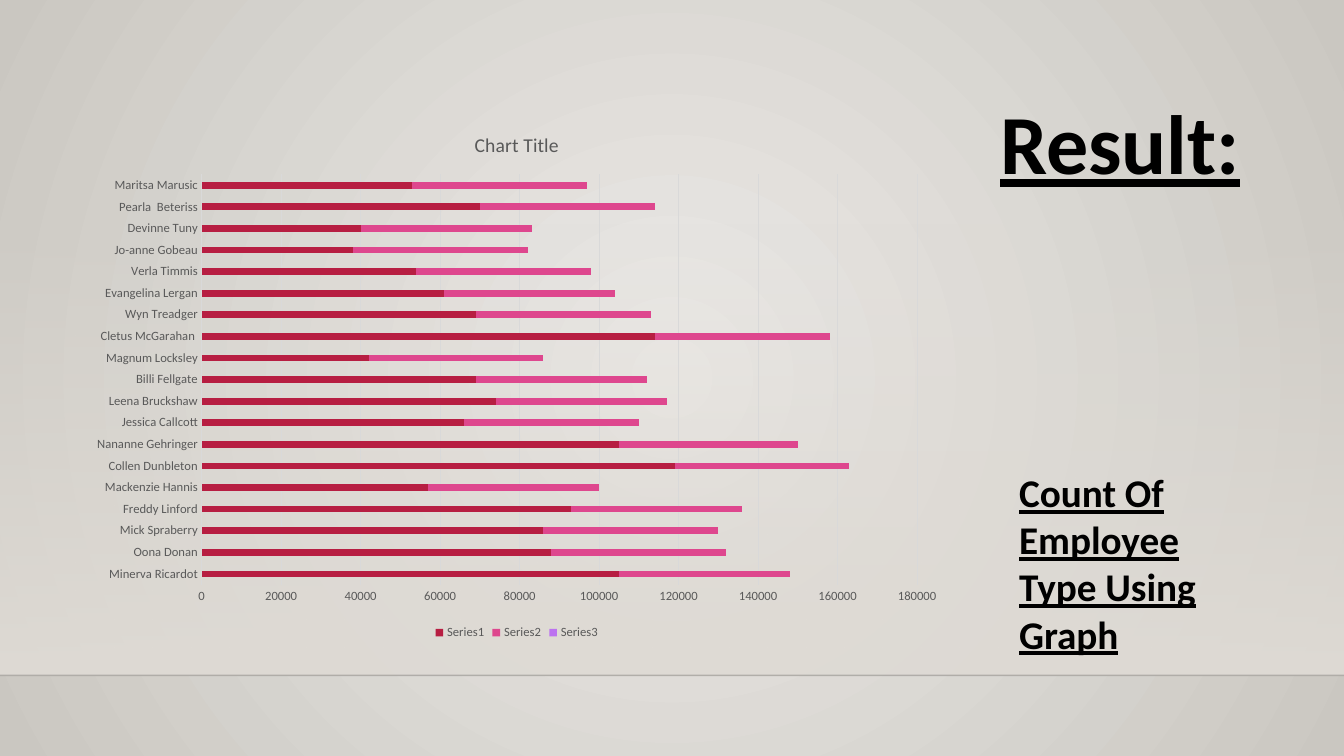
from lxml import etree
from pptx import Presentation
from pptx.chart.data import CategoryChartData
from pptx.dml.color import RGBColor
from pptx.enum import chart as ch, shapes
from pptx.oxml.ns import qn
from pptx.util import Inches, Pt

# Content: employee, then one value per series
SERIES = ["Series1", "Series2", "Series3"]
EMPLOYEES = [
    ("Minerva Ricardot", 105000, 43000, 0),
    ("Oona Donan", 88000, 44000, 0),
    ("Mick Spraberry", 86000, 44000, 0),
    ("Freddy Linford", 93000, 43000, 0),
    ("Mackenzie Hannis", 57000, 43000, 0),
    ("Collen Dunbleton", 119000, 44000, 0),
    ("Nananne Gehringer", 105000, 45000, 0),
    ("Jessica Callcott", 66000, 44000, 0),
    (" Leena Bruckshaw", 74000, 43000, 0),
    ("Billi Fellgate", 69000, 43000, 0),
    ("Magnum Locksley", 42000, 44000, 0),
    ("Cletus McGarahan ", 114000, 44000, 0),
    (" Wyn Treadger", 69000, 44000, 0),
    ("Evangelina Lergan", 61000, 43000, 0),
    ("Verla Timmis", 54000, 44000, 0),
    ("Jo-anne Gobeau", 38000, 44000, 0),
    ("Devinne Tuny", 40000, 43000, 0),
    ("Pearla  Beteriss", 70000, 44000, 0),
    ("Maritsa Marusic", 53000, 44000, 0),
]
# text, size, left, top, width, height
TEXTS = [
    ("Count Of Employee Type Using Graph", 28, 10.01, 4.6, 2.3, 1.99),
    ("Result:", 60, 9.82, 0.85, 2.87, 1.13),
]

FONT = "Calibri"
BLACK = RGBColor(0x00, 0x00, 0x00)
GREY = RGBColor(0x59, 0x59, 0x59)
GRID = RGBColor(0xD9, 0xD9, 0xD9)
BG_INNER = RGBColor(0xEC, 0xEA, 0xE7)
BG_OUTER = RGBColor(0xCA, 0xC7, 0xC1)
WALL = RGBColor(0xDF, 0xDB, 0xD5)
BAR_COLORS = [RGBColor(0xB7, 0x1E, 0x42), RGBColor(0xDE, 0x47, 0x8E),
              RGBColor(0xBC, 0x72, 0xF0)]


def set_gradient(fill, start, end):
    fill.gradient()
    for stop, color in zip(fill.gradient_stops, (start, end)):
        stop.color.rgb = color


def set_alpha(color_xml, percent):
    etree.SubElement(color_xml, qn("a:alpha")).set("val", str(percent * 1000))


def style_font(font, size, color):
    font.name, font.size, font.color.rgb = FONT, Pt(size), color


prs = Presentation()
prs.slide_width, prs.slide_height = Inches(13.33), Inches(7.5)
s = prs.slides.add_slide(prs.slide_layouts[6])

# Radial background
set_gradient(s.background.fill, BG_INNER, BG_OUTER)
grad = s.element.find(".//" + qn("a:gradFill"))
grad.remove(grad.find(qn("a:lin")))
radial = etree.SubElement(grad, qn("a:path"))
radial.set("path", "circle")
center = etree.SubElement(radial, qn("a:fillToRect"))
for side in "ltrb":
    center.set(side, "50000")

# Wall fading in downwards, and the floor line
wall = s.shapes.add_shape(shapes.MSO_SHAPE.RECTANGLE, 0, Inches(2.21),
                          prs.slide_width, Inches(4.49))
wall.shadow.inherit = False
wall.line.fill.background()
set_gradient(wall.fill, WALL, WALL)
wall.fill.gradient_angle = 270
set_alpha(wall.element.spPr.find(".//" + qn("a:srgbClr")), 0)

floor = s.shapes.add_connector(shapes.MSO_CONNECTOR.STRAIGHT, 0, Inches(6.7),
                               prs.slide_width, Inches(6.7))
floor.line.width = Pt(1)
floor.line.color.rgb = BLACK
floor_pr = floor.element.spPr
set_alpha(floor_pr.find(".//" + qn("a:srgbClr")), 20)
etree.SubElement(floor_pr, qn("a:effectLst"))

# Headings
for text, size, *box in TEXTS:
    tf = s.shapes.add_textbox(*map(Inches, box)).text_frame
    tf.word_wrap = True
    r = tf.paragraphs[0].add_run()
    r.text = text
    style_font(r.font, size, BLACK)
    r.font.bold = r.font.underline = True

# Stacked bar chart
names, *columns = zip(*EMPLOYEES)
data = CategoryChartData()
data.categories = names
for name, values in zip(SERIES, columns):
    data.add_series(name, values)
chart = s.shapes.add_chart(ch.XL_CHART_TYPE.BAR_STACKED, Inches(0.79), Inches(1.11),
                           Inches(8.67), Inches(5.28), data).chart
style_font(chart.font, 10, BLACK)

chart.has_title = True
r = chart.chart_title.text_frame.paragraphs[0].add_run()
r.text = "Chart Title"
style_font(r.font, 14, GREY)
r.font.bold = False

plot = chart.plots[0]
plot.vary_by_categories = False
plot.gap_width, plot.overlap = 219, 100
for series, color in zip(plot.series, BAR_COLORS):
    series.format.fill.solid()
    series.format.fill.fore_color.rgb = color

cat_axis, val_axis = chart.category_axis, chart.value_axis
for axis in (cat_axis, val_axis):
    axis.major_tick_mark = axis.minor_tick_mark = ch.XL_TICK_MARK.NONE
    style_font(axis.tick_labels.font, 9, GREY)
val_axis.has_major_gridlines = True
val_axis.format.line.fill.background()
for line in (cat_axis.format.line, val_axis.major_gridlines.format.line):
    line.width = Pt(0.75)
    line.color.rgb = GRID

chart.has_legend = True
chart.legend.position = ch.XL_LEGEND_POSITION.BOTTOM
chart.legend.include_in_layout = False
style_font(chart.legend.font, 9, GREY)

prs.save("out.pptx")
